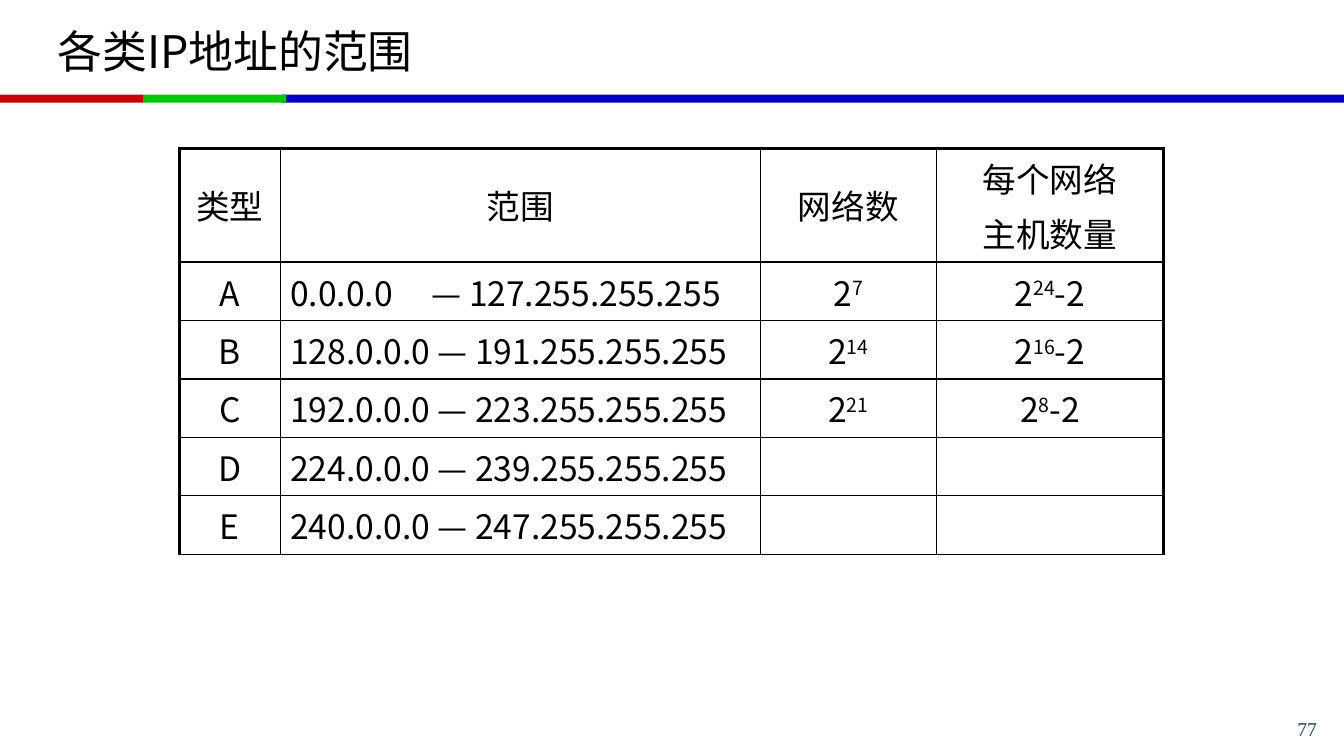
from dataclasses import dataclass

from pptx import Presentation
from pptx.dml.color import RGBColor
from pptx.enum.shapes import MSO_SHAPE
from pptx.enum.text import MSO_ANCHOR, PP_ALIGN
from pptx.oxml.ns import qn
from pptx.util import Inches, Pt
from lxml.etree import SubElement


@dataclass(frozen=True)
class Theme:
    sans: str = "Noto Sans CJK SC"
    serif: str = "Times New Roman"
    ink: str = "000000"
    page_ink: str = "1E4649"
    red: str = "C80000"
    green: str = "00C800"
    blue: str = "0000C8"
    title_size: float = 32
    table_size: float = 24
    page_size: float = 14
    line_gap: float = 5
    thin: float = 1
    thick: float = 2.25


THEME = Theme()
WIDTH, HEIGHT = Inches(13.33), Inches(7.5)
BAND_TOP, BAND_HEIGHT = 12.53, 1.07
COLUMN_SHARES = (7.5, 35.71, 13.13, 16.88)
HEADER_SHARE, CLASS_SHARE = 15.07, 7.73
RANGE_COLUMN = 1
DASH_STOP = Inches(1.4)
ADDRESS_CLASSES = (
    ("类型", "范围", "网络数", "每个网络\n主机数量"),
    ("A", "0.0.0.0\t— 127.255.255.255", "2^7", "2^24^-2"),
    ("B", "128.0.0.0 — 191.255.255.255", "2^14", "2^16^-2"),
    ("C", "192.0.0.0 — 223.255.255.255", "2^21", "2^8^-2"),
    ("D", "224.0.0.0 — 239.255.255.255", "", ""),
    ("E", "240.0.0.0 — 247.255.255.255", "", ""),
)


def across(percent):
    return round(WIDTH * percent / 100)


def down(percent):
    return round(HEIGHT * percent / 100)


def place(left, top, width, height):
    return across(left), down(top), across(width), down(height)


def add_run(paragraph, words, size, font, color, raised=False):
    run = paragraph.add_run()
    run.text = words
    run.font.size = Pt(size)
    run.font.name = font
    run.font.color.rgb = RGBColor.from_string(color)
    properties = run.font._element
    SubElement(properties, qn("a:ea")).set("typeface", font)
    if raised:
        properties.set("baseline", "30000")


def add_label(slide, area, words, size, font, color, align, anchor):
    frame = slide.shapes.add_textbox(*place(*area)).text_frame
    frame.word_wrap = True
    frame.vertical_anchor = anchor
    paragraph = frame.paragraphs[0]
    paragraph.alignment = align
    add_run(paragraph, words, size, font, color)


def add_stripe(slide, left, width, color):
    stripe = slide.shapes.add_shape(
        MSO_SHAPE.RECTANGLE, *place(left, BAND_TOP, width, BAND_HEIGHT))
    stripe.shadow.inherit = False
    stripe.fill.solid()
    stripe.fill.fore_color.rgb = RGBColor.from_string(color)
    stripe.line.fill.background()


def set_borders(cell, widths):
    properties = cell._tc.get_or_add_tcPr()
    for side, width in widths.items():
        border = SubElement(properties, qn(f"a:ln{side}"), w=str(Pt(width)))
        ink = SubElement(border, qn("a:solidFill"))
        SubElement(ink, qn("a:srgbClr"), val=THEME.ink)
    cell.fill.background()


def add_tab_stop(paragraph, position):
    stops = SubElement(paragraph._p.get_or_add_pPr(), qn("a:tabLst"))
    SubElement(stops, qn("a:tab"), pos=str(position), algn="l")


def fill_cell(cell, words, align):
    cell.vertical_anchor = MSO_ANCHOR.MIDDLE
    frame = cell.text_frame
    for index, line in enumerate(words.split("\n")):
        paragraph = frame.add_paragraph() if index else frame.paragraphs[0]
        paragraph.alignment = align
        if index:
            paragraph.space_before = Pt(THEME.line_gap)
        if "\t" in line:
            add_tab_stop(paragraph, DASH_STOP)
        for part, piece in enumerate(line.split("^")):
            add_run(paragraph, piece, THEME.table_size, THEME.sans,
                    THEME.ink, raised=part % 2 == 1)


def add_class_table(slide):
    row_shares = [HEADER_SHARE] + [CLASS_SHARE] * (len(ADDRESS_CLASSES) - 1)
    table = slide.shapes.add_table(
        len(row_shares), len(COLUMN_SHARES),
        *place(13.35, 19.6, sum(COLUMN_SHARES), sum(row_shares))).table
    table.first_row = False
    table.horz_banding = False
    for column, share in zip(table.columns, COLUMN_SHARES):
        column.width = across(share)
    for row, share in zip(table.rows, row_shares):
        row.height = down(share)
    last = len(COLUMN_SHARES) - 1
    for r, entries in enumerate(ADDRESS_CLASSES):
        for c, words in enumerate(entries):
            cell = table.cell(r, c)
            set_borders(cell, {
                "L": THEME.thick if c == 0 else THEME.thin,
                "R": THEME.thick if c == last else THEME.thin,
                "T": THEME.thick if r == 0 else THEME.thin,
                "B": THEME.thin,
            })
            if words:
                is_range = r > 0 and c == RANGE_COLUMN
                fill_cell(cell, words,
                          PP_ALIGN.LEFT if is_range else PP_ALIGN.CENTER)


def main():
    deck = Presentation()
    deck.slide_width, deck.slide_height = WIDTH, HEIGHT
    slide = deck.slides.add_slide(deck.slide_layouts[6])
    add_stripe(slide, 20.93, 79.07, THEME.blue)
    add_stripe(slide, 0, 10.65, THEME.red)
    add_stripe(slide, 10.65, 10.65, THEME.green)
    add_label(slide, (75.39, 94.13, 23.33, 3.07), "77", THEME.page_size,
              THEME.serif, THEME.page_ink, PP_ALIGN.RIGHT, MSO_ANCHOR.TOP)
    add_label(slide, (3.53, 1.07, 92.95, 11.2), "各类IP地址的范围",
              THEME.title_size, THEME.sans, THEME.ink, PP_ALIGN.LEFT,
              MSO_ANCHOR.MIDDLE)
    add_class_table(slide)
    deck.save("out.pptx")


if __name__ == "__main__":
    main()
